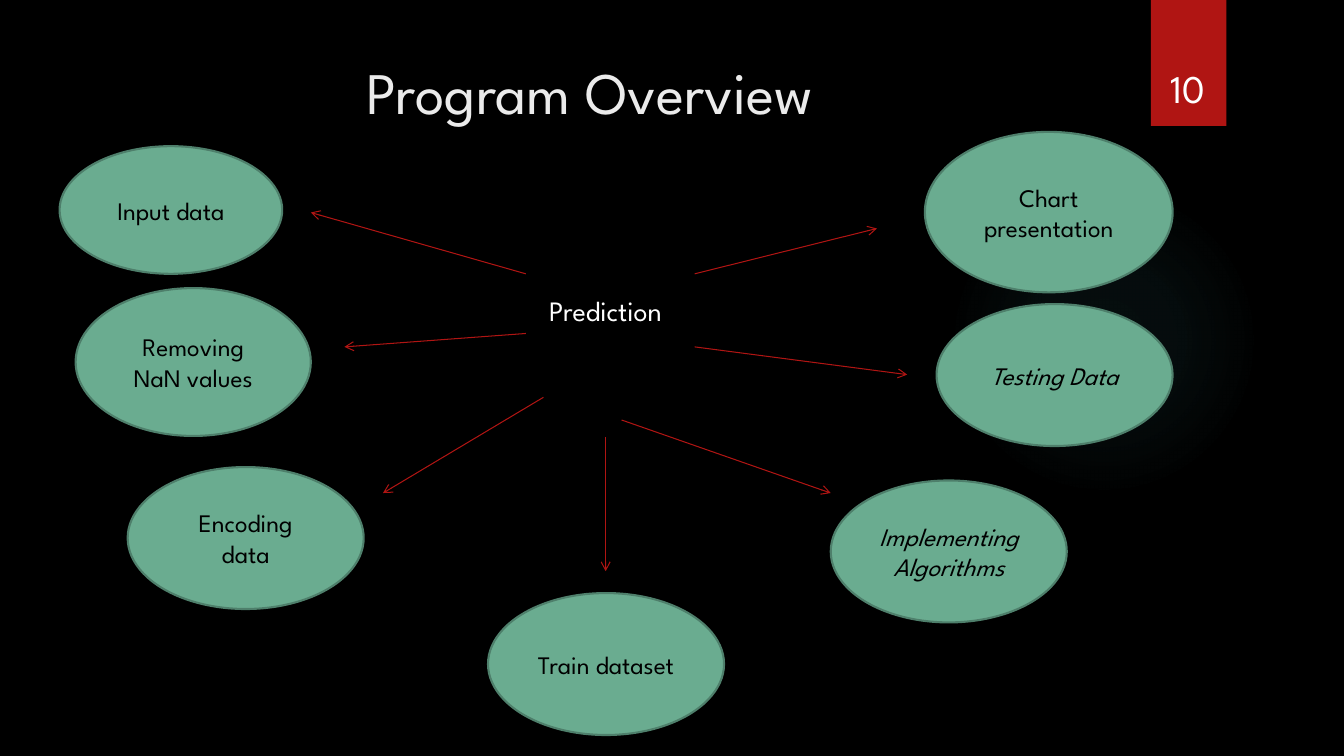
from dataclasses import dataclass

from lxml.etree import SubElement
from pptx import Presentation
from pptx.dml.color import RGBColor
from pptx.enum.shapes import MSO_CONNECTOR, MSO_SHAPE
from pptx.enum.text import MSO_ANCHOR as Anchor, PP_ALIGN as Align
from pptx.oxml import parse_xml
from pptx.oxml.ns import nsdecls, qn
from pptx.util import Inches, Pt

COLS, ROWS = 160, 90


@dataclass(frozen=True)
class Theme:
    """Colours, font and type sizes of the slide."""
    font: str = "League Spartan"
    back: str = "000000"
    glow: str = "50B9C1"
    accent: str = "B01513"
    bubble: str = "6AAC90"
    rim: str = "4E7F6B"
    title: str = "EBEBEB"
    light: str = "FFFFFF"
    dark: str = "000000"
    title_size: int = 42
    number_size: int = 28
    hub_size: int = 20
    step_size: int = 18
    rim_width: float = 1.5
    arrow_width: float = 0.75


@dataclass(frozen=True)
class Box:
    """A rectangle in grid columns and rows."""
    col: float
    row: float
    cols: float = 28.1
    rows: float = 16.9


@dataclass(frozen=True)
class Step:
    """A program step: its bubble, and its arrow from start to end."""
    label: str
    box: Box
    start: tuple[float, float]
    end: tuple[float, float]
    italic: bool = False


THEME = Theme()
STEPS = [
    Step("Input data", Box(7.1, 17.4, 26.5, 15.2), (62.6, 32.6), (37, 25.3)),
    Step("Removing NaN values", Box(9, 34.3, 28, 17.6), (62.6, 39.7), (41, 41.3)),
    Step("Encoding data", Box(15.2, 55.6), (64.7, 47.3), (45.6, 58.7)),
    Step("Train dataset", Box(58.1, 70.6), (72.1, 52), (72.1, 68)),
    Step("Implementing Algorithms", Box(98.9, 57.2), (74, 50), (98.9, 58.7), True),
    Step("Testing Data", Box(111.5, 36.2), (82.7, 41.3), (108, 44.6), True),
    Step("Chart presentation", Box(110.1, 15.7, 29.5, 19.1), (82.7, 32.6), (104.4, 27.2)),
]

prs = Presentation()
prs.slide_width, prs.slide_height = Inches(13.33), Inches(7.5)


def x(col: float) -> int:
    """Convert grid columns to a length."""
    return int(prs.slide_width * col / COLS)


def y(row: float) -> int:
    """Convert grid rows to a length."""
    return int(prs.slide_height * row / ROWS)


def place(box: Box) -> tuple[int, int, int, int]:
    """Return left, top, width and height of a grid box."""
    return x(box.col), y(box.row), x(box.cols), y(box.rows)


def write(sp, text: str, size: int, color: str, anchor=Anchor.TOP, italic: bool = False) -> None:
    """Write one centred paragraph into a shape."""
    tf = sp.text_frame
    tf.word_wrap, tf.vertical_anchor = True, anchor
    p = tf.paragraphs[0]
    p.alignment = Align.CENTER
    r = p.add_run()
    r.text = text
    r.font.name, r.font.size = THEME.font, Pt(size)
    r.font.color.rgb = RGBColor.from_string(color)
    if italic:
        r.font.italic = True


def add_shape(s, kind, box: Box, fill: str, rim: str | None = None):
    """Add a filled preset shape, with an outline if a rim colour is given."""
    sp = s.shapes.add_shape(kind, *place(box))
    sp.shadow.inherit = False
    sp.fill.solid()
    sp.fill.fore_color.rgb = RGBColor.from_string(fill)
    if rim:
        sp.line.color.rgb = RGBColor.from_string(rim)
        sp.line.width = Pt(THEME.rim_width)
    else:
        sp.line.fill.background()
    return sp


def add_text(s, box: Box, text: str, size: int, color: str, anchor=Anchor.TOP) -> None:
    """Add a text box with one centred line."""
    write(s.shapes.add_textbox(*place(box)), text, size, color, anchor)


def add_glow(s, box: Box) -> None:
    """Add a soft circle that fades out from its centre."""
    sp = add_shape(s, MSO_SHAPE.OVAL, box, THEME.glow)
    stops = "".join(
        f'<a:gs pos="{pos * 1000}"><a:srgbClr val="{THEME.glow}">'
        f'<a:alpha val="{alpha * 1000}"/></a:srgbClr></a:gs>'
        for pos, alpha in ((0, 7), (36, 6), (69, 0), (100, 0)))
    grad = parse_xml(
        f'<a:gradFill {nsdecls("a")} rotWithShape="1"><a:gsLst>{stops}</a:gsLst>'
        '<a:path path="circle"><a:fillToRect l="50000" t="50000" r="50000" b="50000"/>'
        '</a:path></a:gradFill>')
    props = sp._element.spPr
    props.replace(props.find(qn("a:solidFill")), grad)


def add_arrow(s, start: tuple[float, float], end: tuple[float, float]) -> None:
    """Add a thin line with an open arrowhead at its end."""
    line = s.shapes.add_connector(
        MSO_CONNECTOR.STRAIGHT, x(start[0]), y(start[1]), x(end[0]), y(end[1]))
    line.line.color.rgb = RGBColor.from_string(THEME.accent)
    line.line.width = Pt(THEME.arrow_width)
    SubElement(line.line._get_or_add_ln(), qn("a:tailEnd"), type="arrow")
    SubElement(line._element.spPr, qn("a:effectLst"))


def add_step(s, step: Step) -> None:
    """Add a step's bubble and the arrow that leads to it."""
    sp = add_shape(s, MSO_SHAPE.OVAL, step.box, THEME.bubble, THEME.rim)
    write(sp, step.label, THEME.step_size, THEME.dark, Anchor.MIDDLE, step.italic)
    add_arrow(s, step.start, step.end)


def build() -> None:
    """Build the overview slide."""
    s = prs.slides.add_slide(prs.slide_layouts[6])
    s.background.fill.solid()
    s.background.fill.fore_color.rgb = RGBColor.from_string(THEME.back)
    add_glow(s, Box(112.9, 22, 37, 37))
    add_shape(s, MSO_SHAPE.RECTANGLE, Box(137, 0, 9, 15), THEME.accent)
    add_text(s, Box(8.5, 6, 123.5, 18.4), "Program Overview", THEME.title_size, THEME.title)
    for step in STEPS:
        add_step(s, step)
    add_text(s, Box(53.5, 34.3, 37.2, 5.3), "Prediction", THEME.hub_size, THEME.light)
    add_text(s, Box(135.9, 3.8, 11, 10.1), "10", THEME.number_size, THEME.light, Anchor.BOTTOM)


build()
prs.save("out.pptx")
